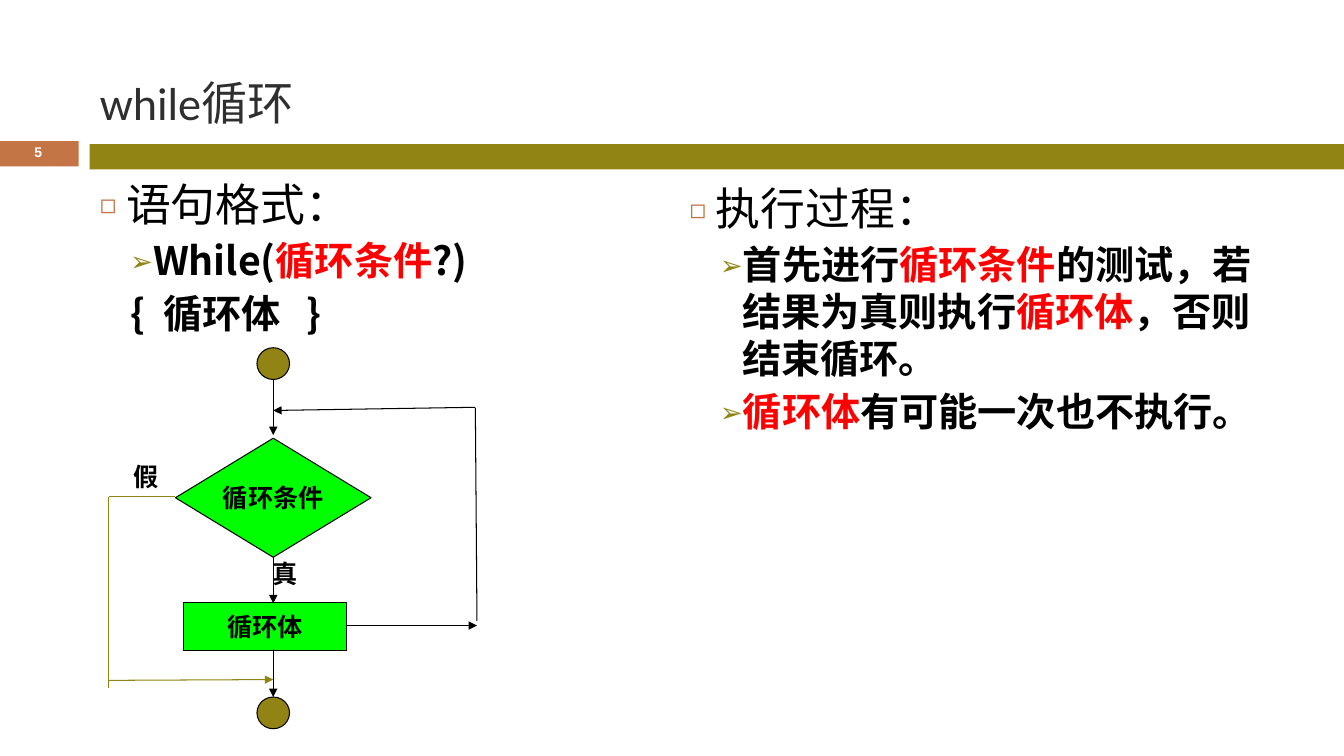
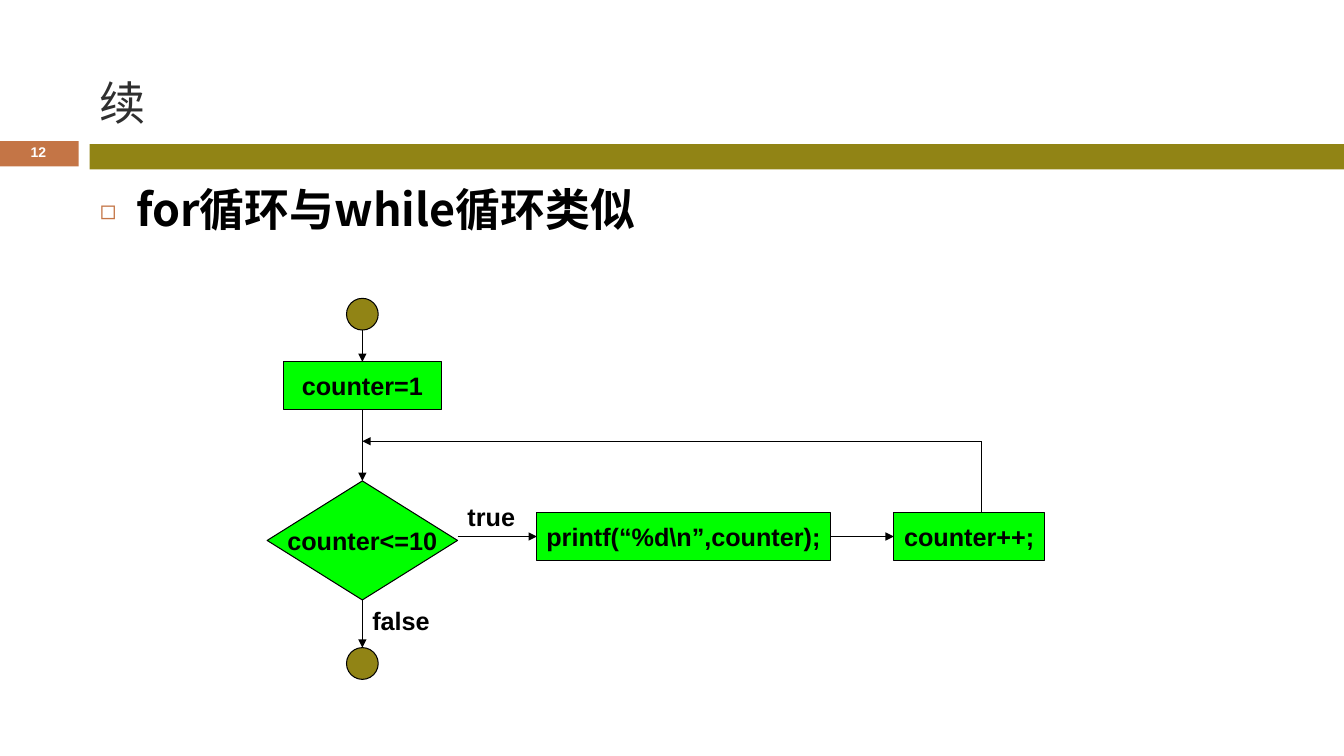
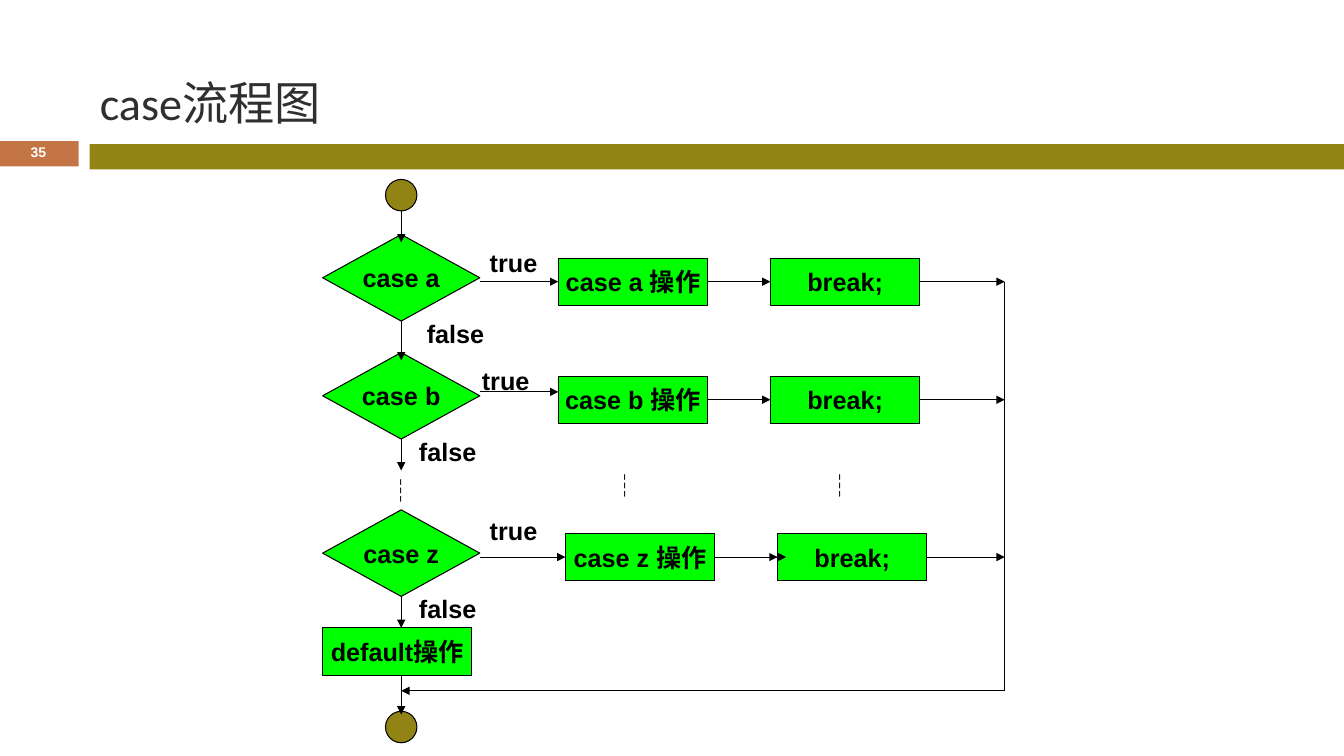
from dataclasses import dataclass
from typing import Any

from lxml.etree import SubElement
from pptx import Presentation
from pptx.dml.color import RGBColor
from pptx.enum.shapes import MSO_CONNECTOR, MSO_SHAPE
from pptx.enum.text import MSO_ANCHOR, MSO_AUTO_SIZE, PP_ALIGN
from pptx.oxml.ns import qn
from pptx.util import Inches, Pt

WIDTH, HEIGHT = 13.33, 7.5
MARGIN, CONTENT_WIDTH = 0.89, 11.89
OLIVE, RUST, GREEN = "918415", "C47546", "00FF00"
BLACK, WHITE, RED, CHARCOAL = "000000", "FFFFFF", "FF0000", "2F2F2F"
LATIN, TITLE_FONT, CHINESE = "Arial", "Calibri", "Noto Sans CJK SC"
TITLE_ONLY, ONE_LIST, TWO_LISTS = 5, 1, 3


@dataclass
class ListStyle:
    """Look of one kind of list paragraph."""
    level: int
    size: float
    bold: bool
    margin: float
    hanging: float
    before: float
    bullet: str = ""
    bullet_color: str = OLIVE
    bullet_share: int = 70


HEADING = ListStyle(0, 32, False, 0.26, 0.26, 5.2, "◻", RUST, 60)
BOLD_HEADING = ListStyle(0, 32, True, 0.36, 0.36, 5.2, "◻", RUST, 60)
STEP = ListStyle(1, 28, True, 0.52, 0.22, 4.2, "➢")
CODE = ListStyle(1, 28, True, 0.3, 0, 4.2)


def rgb(color):
    """Turn a hex string into a colour."""
    return RGBColor.from_string(color)


def place(part, left, top, width, height):
    """Move a part to a box given in inches."""
    part.left, part.top = Inches(left), Inches(top)
    part.width, part.height = Inches(width), Inches(height)


def add_run(paragraph, text, size, color=BLACK, bold=False, font=LATIN, tracking=0):
    """Append one formatted run with a Latin and a Chinese font."""
    run = paragraph.add_run()
    run.text = text
    run.font.size, run.font.bold, run.font.name = Pt(size), bold, font
    run.font.color.rgb = rgb(color)
    properties = run._r.get_or_add_rPr()
    SubElement(properties, qn("a:ea")).set("typeface", CHINESE)
    if tracking:
        properties.set("spc", str(tracking))


def add_shape(slide, kind, box, fill, outline=None):
    """Draw a flat preset shape in a box given in inches."""
    shape = slide.shapes.add_shape(kind, *map(Inches, box))
    shape.shadow.inherit = False
    shape.fill.solid()
    shape.fill.fore_color.rgb = rgb(fill)
    if outline:
        shape.line.color.rgb = rgb(outline)
        shape.line.width = Pt(0.75)
    else:
        shape.line.fill.background()
    return shape


def add_text(slide, box, text, size=18, color=BLACK, align=PP_ALIGN.LEFT, font=LATIN):
    """Write one bold line in a text box."""
    frame = slide.shapes.add_textbox(*map(Inches, box)).text_frame
    frame.word_wrap = True
    frame.paragraphs[0].alignment = align
    add_run(frame.paragraphs[0], text, size, color, True, font)
    return frame


def framed_slide(deck, layout, title, number):
    """Add a slide with title, olive band and numbered tab."""
    slide = deck.slides.add_slide(deck.slide_layouts[layout])
    add_shape(slide, MSO_SHAPE.RECTANGLE, (0, 1.4, 0.78, 0.25), RUST)
    add_shape(slide, MSO_SHAPE.RECTANGLE, (MARGIN, 1.43, WIDTH - MARGIN, 0.25), OLIVE)
    heading = slide.shapes.title
    place(heading, MARGIN, 0.26, CONTENT_WIDTH, 1.08)
    frame = heading.text_frame
    frame.auto_size, frame.vertical_anchor = MSO_AUTO_SIZE.NONE, MSO_ANCHOR.BOTTOM
    frame.paragraphs[0].alignment = PP_ALIGN.LEFT
    frame.paragraphs[0].line_spacing = 0.9
    add_run(frame.paragraphs[0], title, 33, CHARCOAL, font=TITLE_FONT)
    tab = add_text(slide, (0, 1.38, 0.76, 0.27), number, 10, WHITE, PP_ALIGN.CENTER)
    tab.vertical_anchor = MSO_ANCHOR.MIDDLE
    tab.paragraphs[0].line_spacing = 0.9
    return slide


def set_bullet(paragraph, style):
    """Give a paragraph the indents and bullet of its style."""
    properties = paragraph._p.get_or_add_pPr()
    properties.set("marL", str(Inches(style.margin)))
    properties.set("indent", str(-Inches(style.hanging)))
    if not style.bullet:
        SubElement(properties, qn("a:buNone"))
        return
    color = SubElement(properties, qn("a:buClr"))
    SubElement(color, qn("a:srgbClr")).set("val", style.bullet_color)
    SubElement(properties, qn("a:buSzPct")).set("val", str(style.bullet_share * 1000))
    SubElement(properties, qn("a:buFont")).set("typeface", CHINESE)
    SubElement(properties, qn("a:buChar")).set("char", style.bullet)


def fill_list(placeholder, box, items):
    """Place a list and write its items, each a style and its runs."""
    place(placeholder, *box)
    frame = placeholder.text_frame
    frame.auto_size = MSO_AUTO_SIZE.NONE
    for index, (style, runs) in enumerate(items):
        paragraph = frame.add_paragraph() if index else frame.paragraphs[0]
        paragraph.level = style.level
        paragraph.line_spacing = 1.0
        paragraph.space_before = Pt(style.before)
        set_bullet(paragraph, style)
        for text, color, tracking in runs:
            add_run(paragraph, text, style.size, color, style.bold, CHINESE, tracking)


def plain(text, tracking=0):
    """Describe a black run."""
    return text, BLACK, tracking


def red(text):
    """Describe a red run."""
    return text, RED, 0


@dataclass
class Flowchart:
    """Grid of columns and rows in a box, on which a flowchart is drawn."""
    slide: Any
    left: float
    top: float
    width: float
    height: float
    cols: float
    rows: float

    def point(self, col, row):
        """Give the inches of a grid point."""
        return (self.left + col * self.width / self.cols,
                self.top + row * self.height / self.rows)

    def box(self, col, row, cols, rows):
        """Give the inches of a grid box."""
        return (*self.point(col, row),
                cols * self.width / self.cols, rows * self.height / self.rows)

    def node(self, kind, box, text, font=LATIN):
        """Draw a green node with a centred bold caption."""
        shape = add_shape(self.slide, kind, self.box(*box), GREEN, BLACK)
        frame = shape.text_frame
        frame.word_wrap, frame.vertical_anchor = False, MSO_ANCHOR.MIDDLE
        frame.paragraphs[0].alignment = PP_ALIGN.CENTER
        add_run(frame.paragraphs[0], text, 18, BLACK, True, font)

    def decision(self, col, row, cols, rows, text, font=LATIN):
        """Draw a decision diamond."""
        self.node(MSO_SHAPE.FLOWCHART_DECISION, (col, row, cols, rows), text, font)

    def process(self, col, row, cols, text, font=LATIN):
        """Draw a process box three rows high."""
        self.node(MSO_SHAPE.FLOWCHART_PROCESS, (col, row, cols, 3), text, font)

    def terminal(self, axis, row):
        """Draw a start or end circle centred on an axis."""
        add_shape(self.slide, MSO_SHAPE.FLOWCHART_CONNECTOR,
                  self.box(axis - 1, row, 2, 2), OLIVE, BLACK)

    def label(self, col, row, text, cols=5, align=PP_ALIGN.LEFT, font=LATIN):
        """Write a label beside a branch."""
        add_text(self.slide, self.box(col, row, cols, 2.5), text, align=align, font=font)

    def line(self, start, end, color=BLACK, head=True):
        """Connect two grid points, by default with an arrowhead."""
        ends = (*self.point(*start), *self.point(*end))
        link = self.slide.shapes.add_connector(MSO_CONNECTOR.STRAIGHT, *map(Inches, ends))
        link.line.color.rgb = rgb(color)
        link.line.width = Pt(0.75)
        if head:
            SubElement(link.line._get_or_add_ln(), qn("a:tailEnd")).set("type", "triangle")
        SubElement(link._element.spPr, qn("a:effectLst"))


def draw_while_chart(slide):
    """Draw the flowchart of the while loop."""
    chart = Flowchart(slide, 1.74, 3.45, 1.94, 3.78, 12, 24)
    axis, rail, bypass = 6, 18.5, -4.1
    chart.decision(0, 5.7, 12, 7.5, "循环条件", CHINESE)
    chart.process(0.5, 16.05, 10, "循环体", CHINESE)
    chart.terminal(axis, 0)
    chart.terminal(axis, 22)
    for start, end in ((2, 5.5), (13.2, 16.1), (19, 22)):
        chart.line((axis, start), (axis, end))
    chart.line((10.5, 17.5), (rail, 17.5))
    chart.line((rail, 17.2), (rail - 0.1, 3.8), head=False)
    chart.line((rail - 0.1, 3.75), (axis, 3.95))
    chart.label(4.5, 12.95, "真", 4.5, PP_ALIGN.CENTER)
    chart.label(-3.2, 6.85, "假", 3.5)
    chart.line((0, 9.4), (bypass, 9.4), OLIVE, False)
    chart.line((bypass, 9.4), (bypass, 21.4), OLIVE, False)
    chart.line((bypass, 20.95), (axis, 20.9), OLIVE)


def draw_for_chart(slide):
    """Draw the flowchart of the for loop."""
    chart = Flowchart(slide, 2.65, 2.96, 7.71, 3.78, 49, 24)
    axis, rail, branch = 6, 45, 15
    chart.decision(0, 11.5, 12, 7.5, "counter<=10")
    chart.process(1, 4, 10, "counter=1")
    chart.process(17, 13.5, 18.5, "printf(“%d\\n”,counter);")
    chart.process(39.5, 13.5, 9.5, "counter++;")
    chart.terminal(axis, 0)
    chart.terminal(axis, 22)
    for start, end in ((2, 4), (7, 11.5), (19, 22)):
        chart.line((axis, start), (axis, end))
    for start, end in ((12, 17), (35.5, 39.5)):
        chart.line((start, branch), (end, branch))
    chart.line((rail, 13.5), (rail, 9), head=False)
    chart.line((rail, 9), (axis, 9))
    chart.label(12, 12.5, "true")
    chart.label(axis, 19, "false")


def draw_case_row(chart, letter, row, shift, true_at, arrow_row, false_col, false_end):
    """Draw one case with its operation, break and both branches."""
    axis, rail, middle = 5, 43.4, row + 3
    operation, leave, width = 15 + shift, 28.5 + shift, 9.5
    chart.decision(0, row, 10, 5.5, f"case {letter}")
    chart.process(operation, row + 1.5, width, f"case {letter} 操作")
    chart.process(leave, row + 1.5, width, "break;")
    chart.line((10, row + arrow_row), (operation, row + arrow_row))
    chart.line((operation + width, middle), (leave, middle))
    chart.line((leave + width, middle), (rail, middle))
    chart.line((axis, row + 5.5), (axis, false_end))
    chart.label(true_at[0], row + true_at[1], "true")
    chart.label(false_col, row + 5, "false")


def draw_case_chart(slide):
    """Draw the flowchart of the case statement."""
    chart = Flowchart(slide, 3.2, 1.78, 6.78, 5.62, 43.5, 36)
    axis, rail = 5, 43.4
    chart.terminal(axis, 0)
    chart.terminal(axis, 33.8)
    for case in (("z", 21, 0.45, (10, 0), 3, 5.5, 28.5),
                 ("b", 11, 0, (9.5, 0.5), 2.5, 5.5, 18.5),
                 ("a", 3.5, 0, (10, 0.5), 3, 6, 11.5)):
        draw_case_row(chart, *case)
    chart.process(0, 28.5, 9.5, "default操作")
    chart.line((axis, 2), (axis, 4))
    chart.line((axis, 31.5), (axis, 34))
    chart.line((25.45, 24), (29.5, 24))
    chart.line((rail, 6.5), (rail, 32.5), head=False)
    chart.line((rail, 32.5), (axis, 32.5))
    for col, row in ((2.5, 18.5), (16.75, 18.2), (30.4, 18.2)):
        chart.label(col, row, "┆", 5, PP_ALIGN.CENTER, CHINESE)


def main():
    """Build the three slides and save them."""
    deck = Presentation()
    deck.slide_width, deck.slide_height = Inches(WIDTH), Inches(HEIGHT)

    while_slide = framed_slide(deck, TWO_LISTS, "while循环", "5")
    fill_list(while_slide.placeholders[1], (MARGIN, 1.7, CONTENT_WIDTH, 4.92), (
        (HEADING, [plain("语句格式：")]),
        (STEP, [plain("While("), red("循环条件"), plain("?)")]),
        (CODE, [plain("{"), plain(" ", 700), plain("循环体"), plain(" ", 1200), plain("}")]),
    ))
    fill_list(while_slide.placeholders[2], (6.74, 1.74, 6.04, 3.43), (
        (HEADING, [plain("执行过程：")]),
        (STEP, [plain("首先进行"), red("循环条件"), plain("的测试，若结果为真则执行"),
                red("循环体"), plain("，否则结束循环。")]),
        (STEP, [red("循环体"), plain("有可能一次也不执行。")]),
    ))
    draw_while_chart(while_slide)

    for_slide = framed_slide(deck, ONE_LIST, "续", "12")
    fill_list(for_slide.placeholders[1], (MARGIN, 1.75, CONTENT_WIDTH, 0.66),
              ((BOLD_HEADING, [plain("for循环与while循环类似")]),))
    draw_for_chart(for_slide)

    draw_case_chart(framed_slide(deck, TITLE_ONLY, "case流程图", "35"))
    deck.save("out.pptx")


if __name__ == "__main__":
    main()
